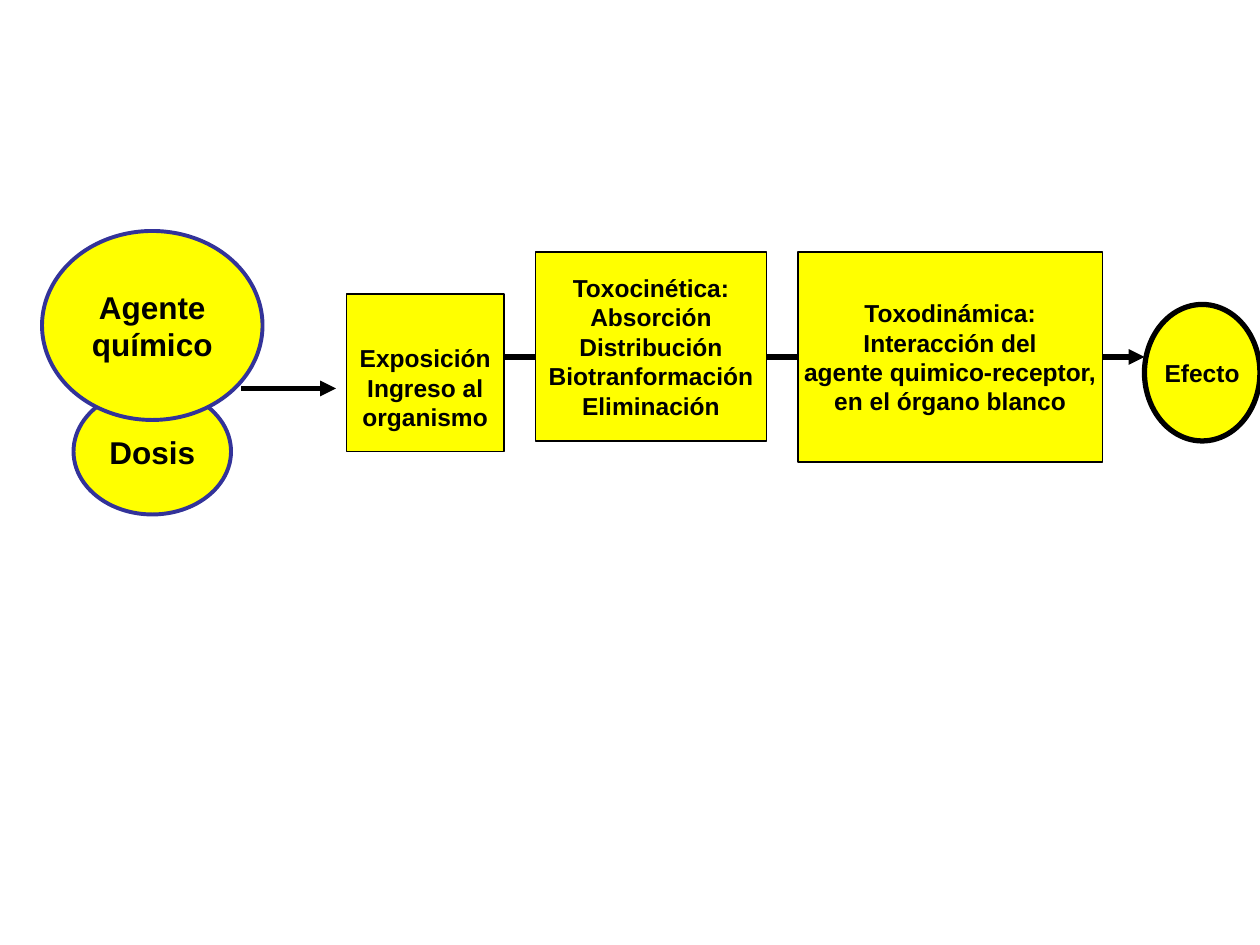
"""Build a slide that shows the path from a chemical agent to its effect."""
from pptx import Presentation
from pptx.dml.color import RGBColor
from pptx.enum.shapes import MSO_CONNECTOR, MSO_SHAPE
from pptx.enum.text import MSO_ANCHOR, PP_ALIGN
from pptx.oxml.ns import qn
from pptx.util import Pt
from lxml import etree

OVAL, RECT = MSO_SHAPE.OVAL, MSO_SHAPE.RECTANGLE
LINE = MSO_CONNECTOR.STRAIGHT
CENTER, MIDDLE = PP_ALIGN.CENTER, MSO_ANCHOR.MIDDLE
YELLOW = RGBColor(0xFF, 0xFF, 0x00)
BLUE = RGBColor(0x33, 0x33, 0x99)
BLACK = RGBColor(0, 0, 0)

SOURCE = [
    ((42, 222, 90, 72), ["Dosis"]),
    ((24, 132, 126, 108), ["Agente", "químico"]),
]
STAGES = [
    ((198, 168, 90, 90), ["Exposición", "Ingreso al", "organismo"],
     dict(top=20.4)),
    ((306, 144, 132, 108),
     ["Toxocinética:", "Absorción", "Distribución", "Biotranformación",
      "Eliminación"], {}),
    ((456, 144, 174, 120),
     ["Toxodinámica:", "Interacción del", "agente quimico-receptor,",
      "en el órgano blanco"], {}),
    ((654, 174, 66, 78), ["Efecto"], dict(kind=OVAL, width=3)),
]
ENTRY = (138, 192, 222)
AXIS = 204


def write(frame, lines, size=14, color=BLACK, top=3.6):
    frame.word_wrap = False
    frame.vertical_anchor = MIDDLE
    frame.margin_top = Pt(top)
    for i, text in enumerate(lines):
        para = frame.add_paragraph() if i else frame.paragraphs[0]
        para.alignment = CENTER
        run = para.add_run()
        run.text = text
        font = run.font
        font.name, font.size, font.bold = "Arial", Pt(size), True
        font.color.rgb = color


def add_node(slide, box, lines, kind=RECT, edge=BLACK, width=0.75, **style):
    node = slide.shapes.add_shape(kind, *map(Pt, box))
    node.shadow.inherit = False
    node.fill.solid()
    node.fill.fore_color.rgb = YELLOW
    node.line.color.rgb = edge
    node.line.width = Pt(width)
    write(node.text_frame, lines, **style)


def add_link(slide, start, end, y, arrow=False):
    link = slide.shapes.add_connector(LINE, Pt(start), Pt(y), Pt(end), Pt(y))
    link.line.color.rgb = BLACK
    link.line.width = Pt(3)
    props = link.element.spPr
    if arrow:
        etree.SubElement(props.find(qn("a:ln")), qn("a:tailEnd"),
                         type="triangle")
    etree.SubElement(props, qn("a:effectLst"))


def main():
    deck = Presentation()
    deck.slide_width, deck.slide_height = Pt(720), Pt(540)
    slide = deck.slides.add_slide(deck.slide_layouts[6])
    for box, lines in SOURCE:
        add_node(slide, box, lines, kind=OVAL, edge=BLUE, width=2.25, size=18)
    for box, lines, style in STAGES:
        add_node(slide, box, lines, **style)
    add_link(slide, *ENTRY, arrow=True)
    boxes = [stage[0] for stage in STAGES]
    for left, right in zip(boxes, boxes[1:]):
        add_link(slide, left[0] + left[2], right[0], AXIS,
                 arrow=right is boxes[-1])
    deck.save("out.pptx")


if __name__ == "__main__":
    main()
